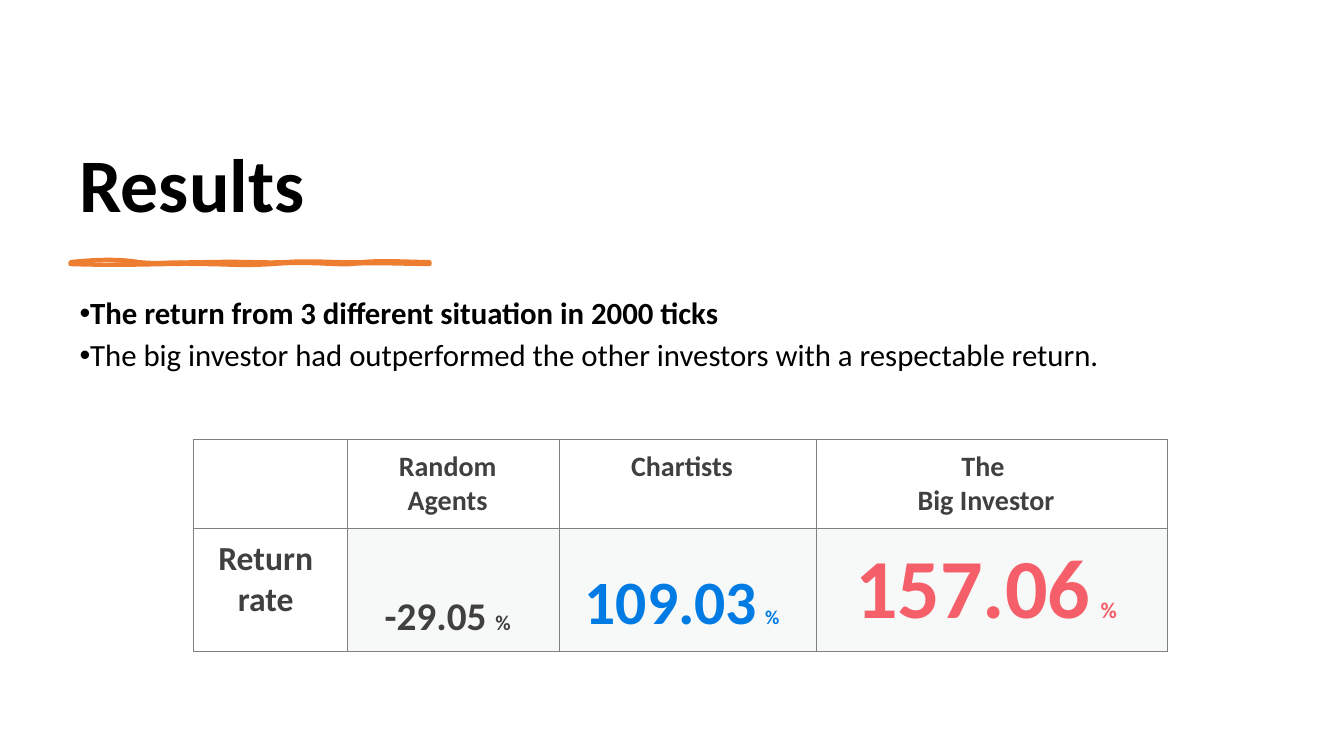
import copy

from lxml import etree
from pptx import Presentation, util as u
from pptx.dml import color
from pptx.enum import text
from pptx.oxml import ns

COLORS = {"ink": "000000", "accent": "ED7D31", "cell_text": "404040", "border": "808080",
          "tint": "D8DEDC", "blue": "007BE4", "red": "F55F69"}
FONT = "Calibri"


def rgb(name):
    return color.RGBColor.from_string(COLORS[name])


def set_format(target, values):
    for name, value in values.items():
        setattr(target, name, value)


class SlideWriter:
    def __init__(self, slide):
        self.slide = slide

    def spans(self, para, spans):
        """Add (text, size, bold, colour) spans; a newline starts a new line."""
        for content, size, bold, tone in spans:
            for number, line in enumerate(content.split("\n")):
                if number:
                    para.add_line_break()
                span = para.add_run()
                span.text = line
                set_format(span.font, {"name": FONT, "size": u.Pt(size), "bold": bold})
                span.font.color.rgb = rgb(tone)

    def text(self, left, top, width, height, paras, anchor, bullet=False, after=0):
        box = self.slide.shapes.add_textbox(*map(u.Inches, (left, top, width, height)))
        frame = box.text_frame
        set_format(frame, {"word_wrap": True, "vertical_anchor": anchor})
        for number, spans in enumerate(paras):
            para = frame.add_paragraph() if number else frame.paragraphs[0]
            set_format(para, {"line_spacing": 0.9, "space_after": u.Pt(after)})
            self.spans(para, spans)
            if bullet:
                props = para._p.get_or_add_pPr()
                props.set("marL", "0")
                props.set("indent", str(-u.Inches(0.25)))
                etree.SubElement(props, ns.qn("a:buFont")).set("typeface", "Arial")
                etree.SubElement(props, ns.qn("a:buChar")).set("char", "•")

    def brush(self, start, stroke, body, tone, weight):
        """Draw a curved outline, then a filled body, as one freeform."""
        builder = self.slide.shapes.build_freeform(*map(u.Inches, start))
        builder.add_line_segments([(u.Inches(c[4]), u.Inches(c[5])) for c in stroke])
        shape = builder.convert_to_shape()
        shape.shadow.inherit = False
        shape.fill.solid()
        shape.fill.fore_color.rgb = shape.line.color.rgb = rgb(tone)
        shape.line.width = u.Pt(weight)
        outline = shape._element.find(".//" + ns.qn("a:path"))
        filled = copy.deepcopy(outline)
        outline.addnext(filled)
        outline.set("fill", "none")
        filled.set("stroke", "0")
        for route, curves in ((outline, stroke), (filled, body)):
            for segment in list(route)[1:]:
                route.remove(segment)
            for curve in curves:
                bend = etree.SubElement(route, ns.qn("a:cubicBezTo"))
                for x, y in zip(curve[::2], curve[1::2]):
                    etree.SubElement(bend, ns.qn("a:pt"), x=str(u.Inches(x) - shape.left),
                                     y=str(u.Inches(y) - shape.top))
            etree.SubElement(route, ns.qn("a:close"))

    def table(self, left, top, widths, heights, rows):
        frame = self.slide.shapes.add_table(
            len(heights), len(widths), u.Inches(left), u.Inches(top),
            u.Inches(sum(widths)), u.Inches(sum(heights)))
        table = frame.table
        set_format(table, {"first_row": False, "horz_banding": False})
        for column, width in zip(table.columns, widths):
            column.width = u.Inches(width)
        for row, height in zip(table.rows, heights):
            row.height = u.Inches(height)
        for r, row in enumerate(rows):
            for c, spans in enumerate(row):
                self.cell(table.cell(r, c), spans, 0.33 if c else 0.31, tinted=r > 0 and c > 0)

    def cell(self, cell, spans, right, tinted):
        margins = {"left": 0.21, "top": 0.1, "right": right, "bottom": 0.1}
        set_format(cell, {f"margin_{side}": u.Inches(gap) for side, gap in margins.items()})
        cell.text_frame.paragraphs[0].alignment = text.PP_ALIGN.CENTER
        self.spans(cell.text_frame.paragraphs[0], spans)
        if tinted:
            cell.vertical_anchor = text.MSO_ANCHOR.BOTTOM
            cell.fill.solid()
            cell.fill.fore_color.rgb = rgb("tint")
            tone = cell._tc.tcPr.find(".//" + ns.qn("a:srgbClr"))
            etree.SubElement(tone, ns.qn("a:alpha")).set("val", "20000")
        else:
            cell.fill.background()
        # Borders come before the fill
        for place, side in enumerate("LRTB"):
            border = etree.Element(ns.qn(f"a:ln{side}"), w=str(u.Pt(1)))
            fill = etree.SubElement(border, ns.qn("a:solidFill"))
            etree.SubElement(fill, ns.qn("a:srgbClr")).set("val", COLORS["border"])
            cell._tc.tcPr.insert(place, border)


deck = Presentation()
set_format(deck, {"slide_width": u.Inches(13.33), "slide_height": u.Inches(7.5)})
page = SlideWriter(deck.slides.add_slide(deck.slide_layouts[6]))

# Title
page.text(0.69, 0.7, 5.27, 1.62, [[("Results", 54, True, "ink")]], text.MSO_ANCHOR.BOTTOM)

# Hand-drawn underline
right_end = (4.26, 2.6, 4.26, 2.61, 4.26, 2.62)
left_end = (0.7, 2.61, 0.7, 2.6, 0.7, 2.6)
page.brush(
    (0.7, 2.6),
    [(0.97, 2.57, 1.21, 2.57, 1.38, 2.6), (1.55, 2.62, 1.77, 2.6, 2.09, 2.6),
     (2.41, 2.59, 2.6, 2.61, 2.84, 2.6), (3.08, 2.58, 3.39, 2.61, 3.59, 2.6),
     (3.79, 2.58, 4.12, 2.6, 4.26, 2.6), right_end,
     (4.08, 2.62, 3.64, 2.6, 3.48, 2.62), (3.32, 2.63, 3.04, 2.59, 2.7, 2.62),
     (2.35, 2.64, 2.31, 2.62, 1.99, 2.62), (1.66, 2.61, 1.32, 2.64, 0.7, 2.62), left_end],
    [(1.02, 2.62, 1.1, 2.6, 1.38, 2.6), (1.66, 2.59, 1.69, 2.57, 1.99, 2.6),
     (2.28, 2.62, 2.61, 2.61, 2.77, 2.6), (2.93, 2.58, 3.27, 2.62, 3.44, 2.6),
     (3.62, 2.57, 3.97, 2.63, 4.26, 2.6), right_end,
     (4.12, 2.61, 3.72, 2.64, 3.55, 2.62), (3.38, 2.59, 3.09, 2.62, 2.77, 2.62),
     (2.44, 2.61, 2.4, 2.6, 2.16, 2.62), (1.93, 2.63, 1.79, 2.61, 1.45, 2.62),
     (1.11, 2.62, 0.92, 2.61, 0.7, 2.62), left_end],
    "accent", 3)

# Findings
page.text(0.69, 2.91, 11.42, 3.88, [
    [("The return from 3 different situation in 2000 ticks", 22, True, "ink")],
    [("The big investor had outperformed the other investors with a respectable return.",
      22, False, "ink")],
], text.MSO_ANCHOR.TOP, bullet=True, after=6)

# Return rates
headers = ["Random Agents", "Chartists", "The \nBig Investor"]
rates = [("-29.05", 28, 28, 15, "cell_text"), ("109.03", 44, 24, 14, "blue"),
         ("157.06", 60, 32, 16, "red")]
page.table(1.92, 4.36, [1.53, 2.1, 2.55, 3.48], [0.88, 1.22], [
    [[]] + [[(header, 20, True, "cell_text")] for header in headers],
    [[("Return rate", 24, True, "cell_text")]] + [
        [(rate, size, True, tone), (" ", gap, True, tone), ("%", unit, True, tone)]
        for rate, size, gap, unit, tone in rates],
])

deck.save("out.pptx")
